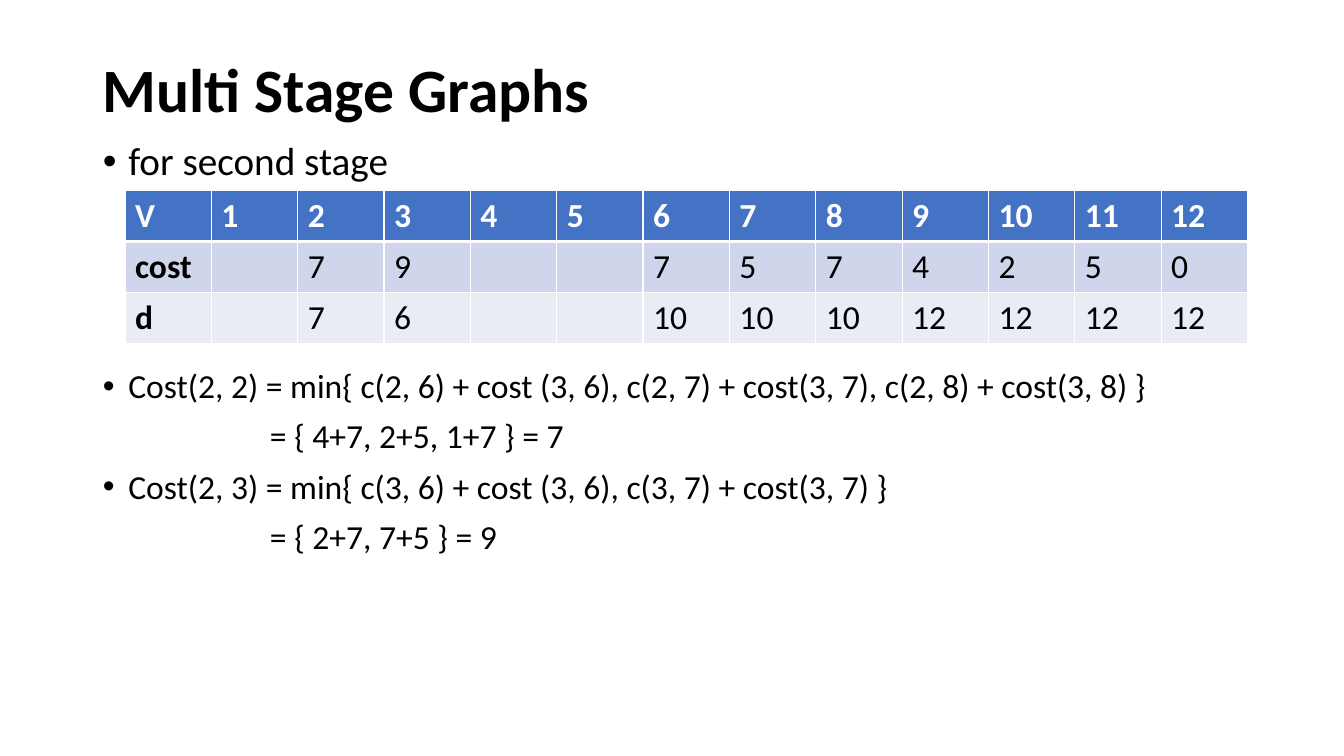
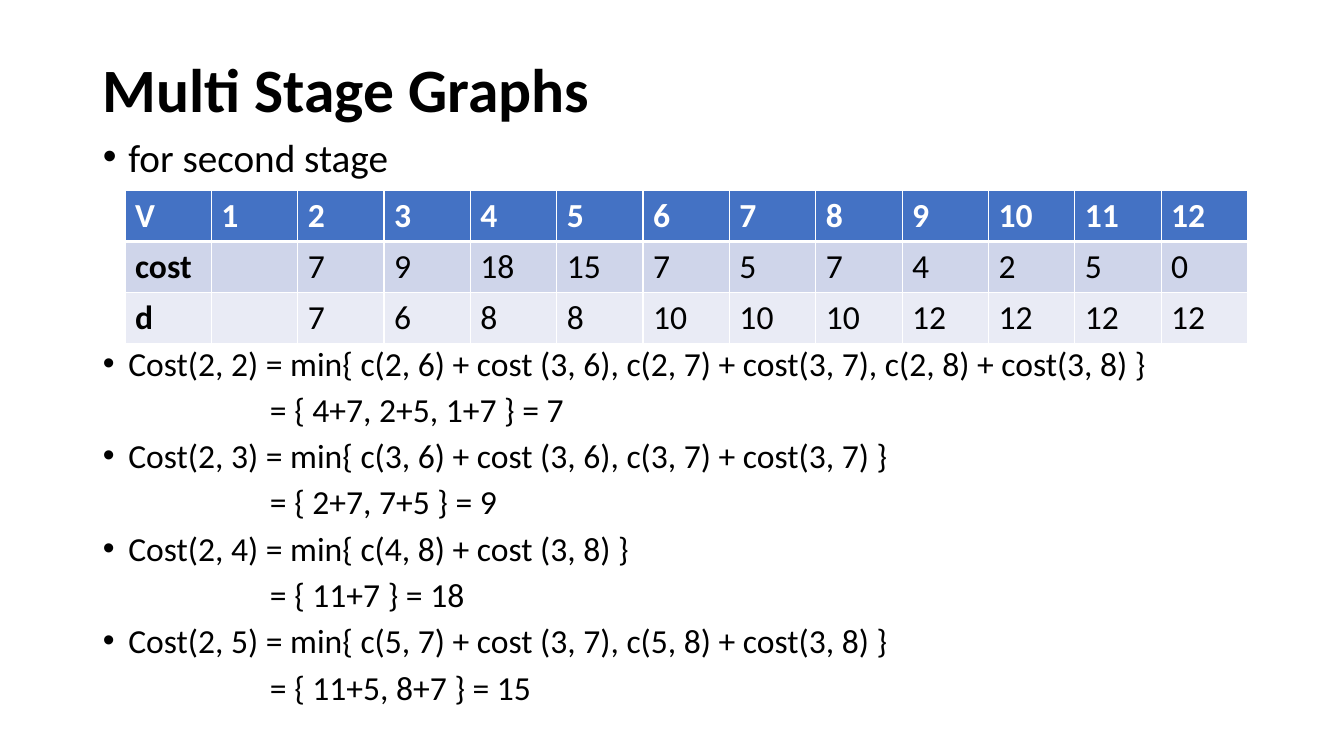
from dataclasses import dataclass

from lxml import etree
from pptx import Presentation
from pptx.dml.color import RGBColor
from pptx.enum.text import MSO_ANCHOR, MSO_AUTO_SIZE, PP_ALIGN
from pptx.oxml.ns import qn
from pptx.util import Cm, Pt

LEFT = PP_ALIGN.LEFT
TOP = MSO_ANCHOR.TOP
MIDDLE = MSO_ANCHOR.MIDDLE
NO_FIT = MSO_AUTO_SIZE.NONE


@dataclass(frozen=True)
class Theme:
    """Colours, type sizes and spacing shared by the slides."""
    font: str = "Calibri"
    ink: str = "000000"
    paper: str = "FFFFFF"
    header: str = "4472C4"
    bands: tuple = ("CFD5EA", "E9EBF5")
    title_size: int = 44
    lead_size: int = 28
    text_size: int = 24
    paragraph_gap: int = 10
    line_factor: float = 1.22
    thin_rule: int = 1
    thick_rule: int = 3


class Deck:
    """Holds the theme and the current slide, and draws each kind of element."""

    def __init__(self, theme):
        """Start an empty widescreen presentation."""
        self.theme = theme
        self.presentation = Presentation()
        self.presentation.slide_width = Cm(33.87)
        self.presentation.slide_height = Cm(19.05)
        self.slide = None

    def add_slide(self, title):
        """Add a slide with its title."""
        layout = self.presentation.slide_layouts[1]
        self.slide = self.presentation.slides.add_slide(layout)
        shape = self.slide.shapes.title
        self.place(shape, (2.34, 1.02, 29.21, 2.62), MIDDLE)
        paragraph = shape.text_frame.paragraphs[0]
        paragraph.alignment = LEFT
        paragraph.line_spacing = 0.9
        self.add_run(paragraph, title, self.theme.title_size, bold=True)

    def place(self, shape, box, anchor):
        """Position a placeholder and fix how its text sits."""
        shape.left, shape.top, shape.width, shape.height = map(Cm, box)
        frame = shape.text_frame
        frame.word_wrap = True
        frame.auto_size = NO_FIT
        frame.vertical_anchor = anchor

    def add_run(self, paragraph, text, size, color=None, bold=False):
        """Append one formatted run to a paragraph."""
        run = paragraph.add_run()
        run.text = text
        run.font.name = self.theme.font
        run.font.size = Pt(size)
        run.font.bold = bold
        run.font.color.rgb = RGBColor.from_string(color or self.theme.ink)

    def set_bullet(self, paragraph, bulleted):
        """Give a paragraph a hanging bullet, or a deep indent without one."""
        properties = paragraph._p.get_or_add_pPr()
        margin, indent = (0.64, -0.64) if bulleted else (4.21, 0)
        properties.set("marL", str(Cm(margin)))
        properties.set("indent", str(Cm(indent)))
        if bulleted:
            font = etree.SubElement(properties, qn("a:buFont"))
            font.set("typeface", "Arial")
            etree.SubElement(properties, qn("a:buChar")).set("char", "•")
        else:
            etree.SubElement(properties, qn("a:buNone"))

    def add_steps(self, lead, steps, line_spacing):
        """Fill the body with a lead line, room for the table, and the steps."""
        theme = self.theme
        shape = self.slide.placeholders[1]
        self.place(shape, (2.34, 3.45, 30.56, 15.29), TOP)
        frame = shape.text_frame
        lead_line = theme.lead_size * theme.line_factor * line_spacing
        table_gap = 3 * (lead_line + theme.paragraph_gap) + theme.paragraph_gap
        lines = [(lead, True, theme.lead_size, 0)]
        for number, (formula, result) in enumerate(steps):
            gap = theme.paragraph_gap if number else table_gap
            lines.append((formula, True, theme.text_size, gap))
            lines.append((result, False, theme.text_size, theme.paragraph_gap))
        for number, (text, bulleted, size, gap) in enumerate(lines):
            paragraph = frame.add_paragraph() if number else frame.paragraphs[0]
            self.set_bullet(paragraph, bulleted)
            paragraph.line_spacing = line_spacing
            paragraph.space_before = Pt(gap)
            self.add_run(paragraph, text, size)

    def set_borders(self, cell, row_number):
        """Rule a cell, with a thicker line under the header row."""
        thin, thick = self.theme.thin_rule, self.theme.thick_rule
        widths = {
            "L": thin,
            "R": thin,
            "T": thick if row_number == 1 else thin,
            "B": thick if row_number == 0 else thin,
        }
        properties = cell._tc.get_or_add_tcPr()
        for side, width in widths.items():
            line = etree.SubElement(properties, qn(f"a:ln{side}"))
            line.set("w", str(Pt(width)))
            fill = etree.SubElement(line, qn("a:solidFill"))
            etree.SubElement(fill, qn("a:srgbClr")).set("val", self.theme.paper)

    def add_cost_table(self, rows):
        """Draw the banded table of vertices, costs and decisions."""
        theme = self.theme
        columns = len(rows[0])
        width, row_height = Cm(28.3), Cm(1.28)
        table = self.slide.shapes.add_table(
            len(rows), columns, Cm(3.15), Cm(4.8), width, row_height * len(rows)
        ).table
        table.horz_banding = False
        for column in table.columns:
            column.width = width // columns
        fills = (theme.header, *theme.bands)
        for row_number, values in enumerate(rows):
            table.rows[row_number].height = row_height
            is_header = row_number == 0
            for column_number, value in enumerate(values):
                cell = table.cell(row_number, column_number)
                self.set_borders(cell, row_number)
                cell.fill.solid()
                cell.fill.fore_color.rgb = RGBColor.from_string(fills[row_number])
                if value != "":
                    self.add_run(
                        cell.text_frame.paragraphs[0], str(value), theme.text_size,
                        theme.paper if is_header else theme.ink,
                        bold=is_header or column_number == 0,
                    )


STEPS = [
    ("Cost(2, 2) = min{ c(2, 6) + cost (3, 6), c(2, 7) + cost(3, 7), c(2, 8) + cost(3, 8) }",
     "= { 4+7, 2+5, 1+7 } = 7"),
    ("Cost(2, 3) = min{ c(3, 6) + cost (3, 6), c(3, 7) + cost(3, 7) }",
     "= { 2+7, 7+5 } = 9"),
    ("Cost(2, 4) = min{ c(4, 8) + cost (3, 8) }",
     "= { 11+7 } = 18"),
    ("Cost(2, 5) = min{ c(5, 7) + cost (3, 7), c(5, 8) + cost(3, 8) }",
     "= { 11+5, 8+7 } = 15"),
]
COSTS = ["", 7, 9, 18, 15, 7, 5, 7, 4, 2, 5, 0]
DECISIONS = ["", 7, 6, 8, 8, 10, 10, 10, 12, 12, 12, 12]


def main():
    """Build the slides for two and for all four solved vertices."""
    deck = Deck(Theme())
    for solved, line_spacing in ((2, 0.9), (4, 0.8)):
        pending = range(solved + 1, 5)
        costs, decisions = (
            ["" if index in pending else value for index, value in enumerate(values)]
            for values in (COSTS, DECISIONS)
        )
        deck.add_slide("Multi Stage Graphs")
        deck.add_steps("for second stage", STEPS[:solved], line_spacing)
        deck.add_cost_table([["V", *range(1, 13)], ["cost", *costs], ["d", *decisions]])
    deck.presentation.save("out.pptx")


if __name__ == "__main__":
    main()
